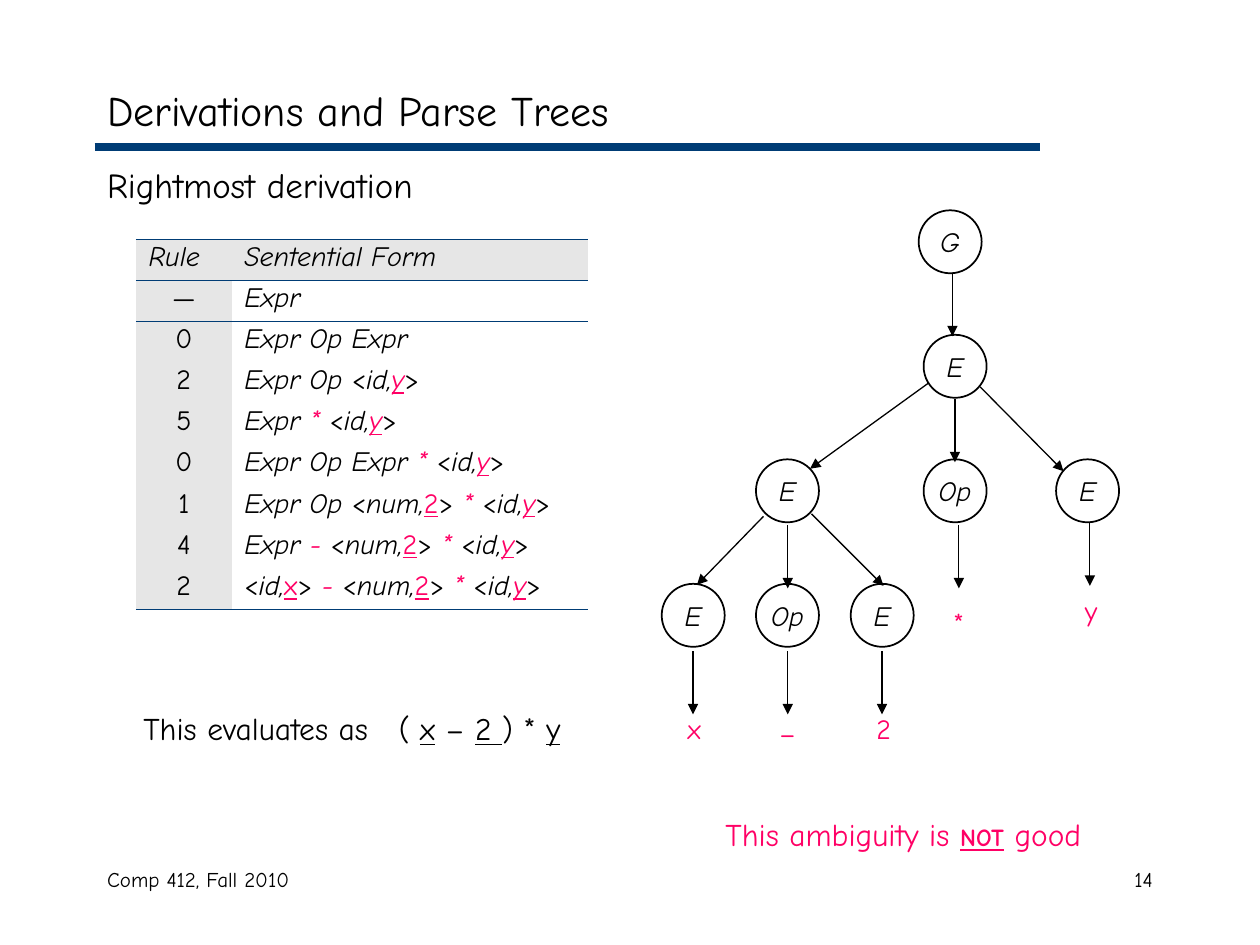
"""Build the slide on derivations and parse trees."""
from lxml.etree import SubElement
from pptx import Presentation
from pptx.dml.color import RGBColor
from pptx.enum.shapes import MSO_CONNECTOR, MSO_SHAPE
from pptx.enum.text import MSO_ANCHOR, PP_ALIGN
from pptx.oxml import parse_xml
from pptx.oxml.ns import nsdecls, qn
from pptx.util import Cm, Pt

BLACK = RGBColor(0x00, 0x00, 0x00)
WHITE = RGBColor(0xFF, 0xFF, 0xFF)
PINK = RGBColor(0xFF, 0x00, 0x65)
NAVY = RGBColor(0x00, 0x3C, 0x75)
GREY = RGBColor(0xE6, 0xE6, 0xE6)
NO_TABLE_STYLE = "{2D5ABB26-0587-4C30-8999-92F81FD0307C}"

FORMATS = {
    "plain": {},
    "symbol": {"italic": True},
    "underlined": {"underline": True},
    "operator": {"italic": True, "color": PINK},
    "lexeme": {"underline": True, "color": PINK},
    "slanted lexeme": {"italic": True, "underline": True, "color": PINK},
    "pink": {"color": PINK},
    "warning": {"bold": True, "underline": True, "color": PINK, "size": Pt(14)},
}


def token(category, lexeme, look="lexeme", close="> "):
    """Return the runs of one <category,lexeme> token."""
    return [("<", "plain"), (category + ",", "symbol"), (lexeme, look), (close, "plain")]


def symbols(text):
    """Return the run of grammar symbols."""
    return [(text, "symbol")]


TIMES = [("* ", "operator")]
MINUS = [("- ", "operator")]
ID_X = token("id", "x")
NUM_2 = token("num", "2")
ID_Y = token("id", "y", "slanted lexeme", ">")

DERIVATION = [
    ("—", symbols("Expr")),
    ("0", symbols("Expr Op Expr")),
    ("2", symbols("Expr Op ") + ID_Y),
    ("5", symbols("Expr ") + TIMES + ID_Y),
    ("0", symbols("Expr Op Expr ") + TIMES + ID_Y),
    ("1", symbols("Expr Op ") + NUM_2 + TIMES + ID_Y),
    ("4", symbols("Expr ") + MINUS + NUM_2 + TIMES + ID_Y),
    ("2", ID_X + MINUS + NUM_2 + TIMES + ID_Y),
]
TREE_LEVELS = [
    [("G", 18.52)],
    [("E", 18.62)],
    [("E", 15.24), ("Op", 18.62), ("E", 21.29)],
    [("E", 13.34), ("Op", 15.24), ("E", 17.15)],
]
LEAVES = [
    ("x", 13.36, 14.22, 0),
    ("–", 15.24, 14.3, 10),
    ("2", 17.18, 14.22, 0),
    ("*", 18.69, 12.09, 10),
    ("y", 21.36, 11.84, 0),
]
DOWN_ARROWS = [
    (19.2, 5.51), (19.25, 8.05), (15.88, 10.59), (19.33, 10.59),
    (21.97, 10.54), (13.97, 13.13), (15.88, 13.13), (17.78, 13.13),
]
BRANCH_ARROWS = [
    (19.76, 7.8, 21.44, 9.5),
    (18.72, 7.72, 16.33, 9.45),
    (16.36, 10.36, 17.81, 11.81),
    (15.39, 10.41, 14.05, 11.79),
]


class SlideBuilder:
    """Hold the lettering style and the slide being drawn."""

    font_name = "Comic Neue"

    def __init__(self, slide):
        self.slide = slide

    def letter(self, frame, runs, size, **layout):
        paragraph = frame.paragraphs[0]
        for attribute, value in layout.items():
            setattr(paragraph, attribute, value)
        for text, look in runs:
            run = paragraph.add_run()
            run.text = text
            values = {"name": self.font_name, "size": Pt(size), "color": BLACK, **FORMATS[look]}
            run.font.color.rgb = values.pop("color")
            for attribute, value in values.items():
                setattr(run.font, attribute, value)

    def text(self, runs, box, size, anchor=MSO_ANCHOR.TOP, **layout):
        frame = self.slide.shapes.add_textbox(*map(Cm, box)).text_frame
        frame.word_wrap = True
        frame.vertical_anchor = anchor
        self.letter(frame, runs, size, **layout)
        return frame

    def line(self, ends, color=BLACK, width=0.75, arrow=True):
        connector = self.slide.shapes.add_connector(MSO_CONNECTOR.STRAIGHT, *map(Cm, ends))
        connector.line.color.rgb = color
        connector.line.width = Pt(width)
        if arrow:
            SubElement(connector.line._get_or_add_ln(), qn("a:tailEnd"), type="triangle")
        SubElement(connector._element.spPr, qn("a:effectLst"))

    def node(self, label, left, top, diameter=1.27):
        circle = self.slide.shapes.add_shape(
            MSO_SHAPE.OVAL, Cm(left), Cm(top), Cm(diameter), Cm(diameter))
        circle.shadow.inherit = False
        circle.fill.background()
        circle.line.color.rgb = BLACK
        circle.line.width = Pt(1)
        circle.text_frame.word_wrap = False
        circle.text_frame.vertical_anchor = MSO_ANCHOR.MIDDLE
        self.letter(circle.text_frame, symbols(label), 16, alignment=PP_ALIGN.CENTER)

    def cell(self, cell, runs, fill, alignment, borders):
        cell.fill.solid()
        cell.fill.fore_color.rgb = fill
        self.letter(cell.text_frame, runs, 16, alignment=alignment, line_spacing=0.8)
        for side in sorted(borders):
            cell._tc.get_or_add_tcPr().insert(0, parse_xml(
                f'<a:ln{side} {nsdecls("a")} w="{Pt(borders[side])}"><a:solidFill>'
                f'<a:srgbClr val="{NAVY}"/></a:solidFill></a:ln{side}>'))

    def table(self, header, steps, box, column_widths, header_height, row_height):
        table = self.slide.shapes.add_table(len(steps) + 1, 2, *map(Cm, box)).table
        table._tbl.tblPr.find(qn("a:tableStyleId")).text = NO_TABLE_STYLE
        for column, width in zip(table.columns, column_widths):
            column.width = Cm(width)
        rows = [[symbols(title) for title in header]]
        rows += [[[(rule, "plain")], form] for rule, form in steps]
        borders = {0: {"T": 1.08, "B": 0.45}, 1: {"T": 0.45}, len(steps): {"B": 1.08}}
        for index, contents in enumerate(rows):
            table.rows[index].height = Cm(row_height if index else header_height)
            for column, runs in enumerate(contents):
                is_rule = index > 0 and column == 0
                self.cell(
                    table.cell(index, column), runs,
                    GREY if index == 0 or is_rule else WHITE,
                    PP_ALIGN.CENTER if is_rule else PP_ALIGN.LEFT,
                    borders.get(index, {}))


def main():
    """Draw the slide and save it."""
    deck = Presentation()
    deck.slide_width, deck.slide_height = Cm(25.4), Cm(19.05)
    builder = SlideBuilder(deck.slides.add_slide(deck.slide_layouts[6]))

    builder.line((1.91, 2.97, 20.96, 2.97), NAVY, 4.5, arrow=False)
    builder.text([("Comp 412, Fall 2010", "plain")], (1.91, 17.35, 8.05, 1.27), 12)
    builder.text([("14", "plain")], (18.21, 17.35, 5.28, 1.27), 12, alignment=PP_ALIGN.RIGHT)
    builder.text([("Derivations and Parse Trees", "plain")], (1.91, 1.47, 21.59, 1.47), 24,
                 MSO_ANCHOR.MIDDLE, space_before=Pt(9))
    builder.text([("Rightmost derivation", "plain")], (1.91, 3.18, 21.59, 1.2), 20,
                 space_before=Pt(7.5))

    for start, top in DOWN_ARROWS:
        builder.line((start, top, start, top + 1.27))
    for ends in BRANCH_ARROWS:
        builder.line(ends)
    for level, nodes in enumerate(TREE_LEVELS):
        for label, left in nodes:
            builder.node(label, left, 4.24 + 2.51 * level)
    for leaf, left, top, gap in LEAVES:
        builder.text([(leaf, "pink")], (left, top, 1.27, 0.94), 16,
                     alignment=PP_ALIGN.CENTER, space_before=Pt(gap))

    evaluation = builder.text(
        [("This evaluates as\t( ", "plain"), ("x", "underlined"), (" – ", "plain"),
         ("2 ", "underlined"), (") * ", "plain"), ("y", "underlined")],
        (2.29, 14.17, 9.63, 1.02), 18, space_before=Pt(11.2))
    evaluation.margin_left = Cm(0.6)
    tab_stops = SubElement(evaluation.paragraphs[0]._p.get_or_add_pPr(), qn("a:tabLst"))
    SubElement(tab_stops, qn("a:tab"), pos=str(Cm(5.15)), algn="l")
    builder.text([("This ambiguity is ", "pink"), ("NOT", "warning"), (" good", "pink")],
                 (13.13, 16.31, 10.16, 1.02), 18,
                 alignment=PP_ALIGN.CENTER, space_before=Pt(11.2))

    builder.table(("Rule", "Sentential Form"), DERIVATION, (2.74, 4.83, 9.11, 7.46),
                  (1.93, 7.18), 0.82, 0.83)
    deck.save("out.pptx")


if __name__ == "__main__":
    main()
